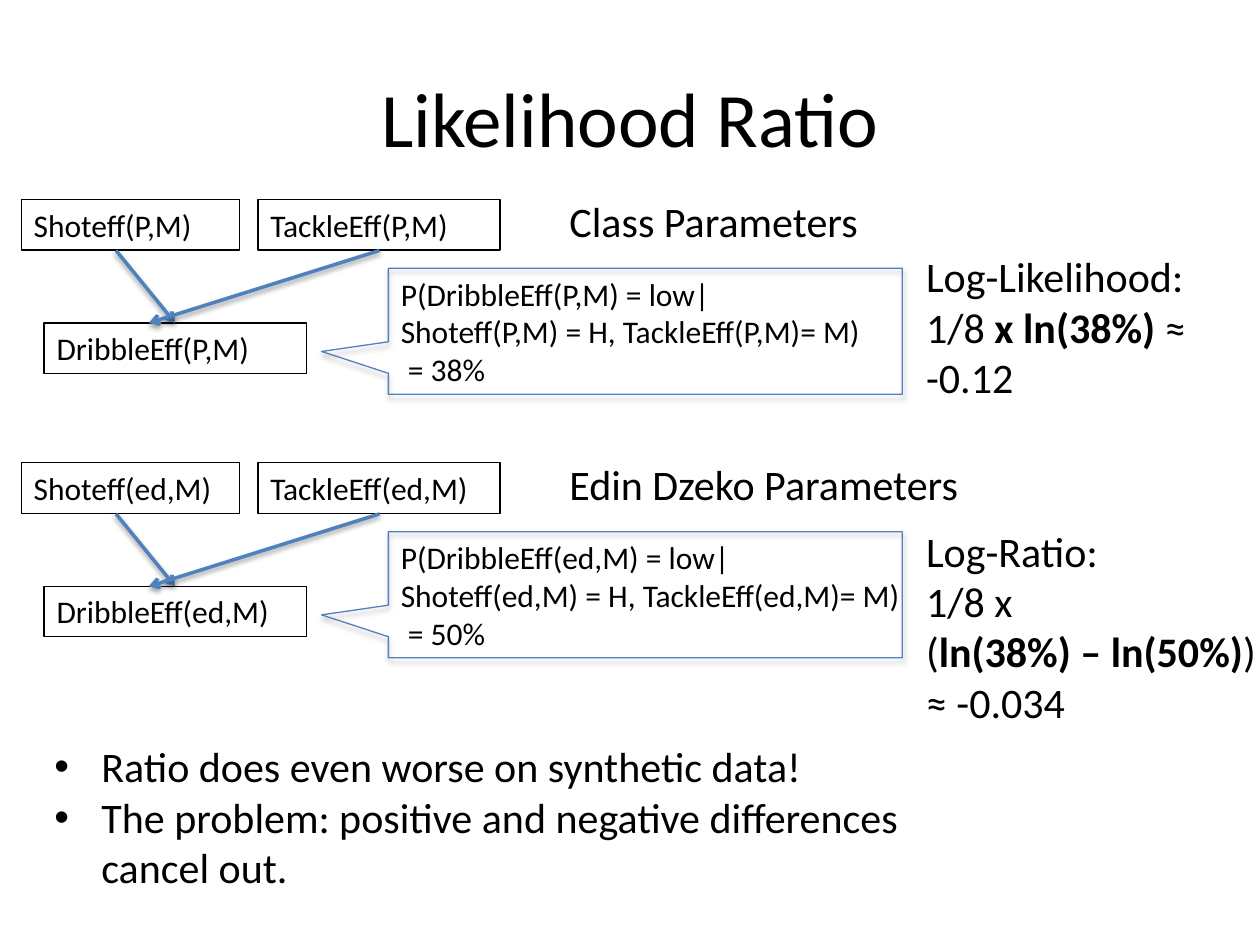
from lxml import etree
from pptx import Presentation
from pptx.dml.color import RGBColor
from pptx.enum.shapes import MSO_CONNECTOR, MSO_SHAPE
from pptx.enum.text import MSO_ANCHOR, MSO_AUTO_SIZE, PP_ALIGN
from pptx.oxml.ns import qn
from pptx.util import Cm, Pt

RECT, CALLOUT = MSO_SHAPE.RECTANGLE, MSO_SHAPE.RECTANGULAR_CALLOUT
STRAIGHT = MSO_CONNECTOR.STRAIGHT
TOP, MIDDLE = MSO_ANCHOR.TOP, MSO_ANCHOR.MIDDLE
LEFT, CENTER = PP_ALIGN.LEFT, PP_ALIGN.CENTER
NO_FIT = MSO_AUTO_SIZE.NONE

COLORS = {"text": "000000", "accent": "4F81BD"}
FONT = "Calibri"

TITLE = "Likelihood Ratio"
BULLETS = [
    "Ratio does even worse on synthetic data!",
    "The problem: positive and negative differences cancel out.",
]
MODELS = [
    {
        "heading": "Class Parameters",
        "player": "P",
        "chance": "38%",
        "score": ["Log-Likelihood:",
                  [("1/8 ", False), ("x ln(38%) ", True), ("≈ -0.12", False)]],
        "score_box": (18.42, 4.93, 6.55, 3.33),
    },
    {
        "heading": "Edin Dzeko Parameters",
        "player": "ed",
        "chance": "50%",
        "score": ["Log-Ratio:",
                  [("1/8 x\n(", False), ("ln(38%) – ln(50%)", True),
                   (") ≈ -0.034", False)]],
        "score_box": (18.42, 10.46, 7.62, 4.37),
    },
]

MODEL_PITCH = 5.31
NODES = [
    ("Shoteff", (0.43, 4.02, 4.40, 1.02)),
    ("DribbleEff", (0.89, 6.51, 5.29, 1.02)),
    ("TackleEff", (5.20, 4.02, 4.88, 1.02)),
]
ARROWS = [(2.34, 5.05, 3.53, 6.51), (7.65, 5.05, 3.00, 6.51)]
CALLOUT_BOX = (7.83, 5.41, 10.36, 2.54)
RULE_BOX = (7.83, 5.41, 10.80, 2.57)
HEADING_BOX = (11.23, 3.81, 9.53, 1.27)


def rgb(name):
    return RGBColor.from_string(COLORS[name])


def cm(box, dy=0):
    x, y, w, h = box
    return Cm(x), Cm(y + dy), Cm(w), Cm(h)


def place(sp, box):
    sp.left, sp.top, sp.width, sp.height = cm(box)


def write(sp, paragraphs, size=24, align=LEFT, anchor=TOP, hanging=None):
    tf = sp.text_frame
    tf.word_wrap = True
    tf.auto_size = NO_FIT
    tf.vertical_anchor = anchor
    for i, runs in enumerate(paragraphs):
        p = tf.add_paragraph() if i else tf.paragraphs[0]
        p.alignment = align
        p.space_before = Pt(0)
        if hanging:
            pPr = p._p.get_or_add_pPr()
            pPr.set("marL", str(Cm(hanging)))
            pPr.set("indent", str(-Cm(hanging)))
        for text, bold in [(runs, False)] if isinstance(runs, str) else runs:
            for j, line in enumerate(text.split("\n")):
                if j:
                    p.add_line_break()
                r = p.add_run()
                r.text = line
                r.font.name, r.font.size, r.font.bold = FONT, Pt(size), bold
                r.font.color.rgb = rgb("text")


def add_text(box, paragraphs, dy=0, **fmt):
    write(s.shapes.add_textbox(*cm(box, dy)), paragraphs, **fmt)


def add_outline(shapes, kind, box, dy, color):
    sp = shapes.add_shape(kind, *cm(box, dy))
    sp.shadow.inherit = False
    sp.fill.background()
    sp.line.color.rgb = rgb(color)
    sp.line.width = Pt(0.75)
    return sp


def add_shadow(sp, distance, alpha):
    spPr = sp._element.spPr
    effects = spPr.find(qn("a:effectLst"))
    if effects is None:
        effects = etree.SubElement(spPr, qn("a:effectLst"))
    shadow = etree.SubElement(effects, qn("a:outerShdw"), blurRad=str(Pt(3.1)),
                              dist=str(Pt(distance)), dir="5400000", rotWithShape="0")
    color = etree.SubElement(shadow, qn("a:srgbClr"), val=COLORS["text"])
    etree.SubElement(color, qn("a:alpha"), val=str(alpha * 1000))


def add_arrow(shapes, ends, dy):
    x1, y1, x2, y2 = ends
    line = shapes.add_connector(STRAIGHT, Cm(x1), Cm(y1 + dy), Cm(x2), Cm(y2 + dy))
    line.line.color.rgb = rgb("accent")
    line.line.width = Pt(2)
    etree.SubElement(line.line._get_or_add_ln(), qn("a:tailEnd"), type="arrow")
    add_shadow(line, 1.6, 38)


def add_model(model, dy):
    args = f"({model['player']},M)"
    network = s.shapes.add_group_shape().shapes
    for name, box in NODES:
        write(add_outline(network, RECT, box, dy, "text"), [name + args], size=18)
    for ends in ARROWS:
        add_arrow(network, ends, dy)

    callout = add_outline(s.shapes, CALLOUT, CALLOUT_BOX, dy, "accent")
    callout.adjustments[0], callout.adjustments[1] = -0.63, 0.16
    add_shadow(callout, 1.8, 35)
    rule = [f"P(DribbleEff{args} = low|",
            f"Shoteff{args} = H, TackleEff{args}= M)",
            f" = {model['chance']}"]
    add_text(RULE_BOX, rule, dy, size=18)
    add_text(model["score_box"], model["score"])
    add_text(HEADING_BOX, [model["heading"]], dy)


prs = Presentation()
prs.slide_width, prs.slide_height = Cm(25.4), Cm(19.05)
s = prs.slides.add_slide(prs.slide_layouts[1])
title, body = s.placeholders
place(title, (1.27, 0.76, 22.86, 3.18))
write(title, [TITLE], size=44, align=CENTER, anchor=MIDDLE)
for i, model in enumerate(MODELS):
    add_model(model, i * MODEL_PITCH)
place(body, (0.84, 14.81, 18.21, 3.33))
write(body, BULLETS, hanging=0.95)
prs.save("out.pptx")
